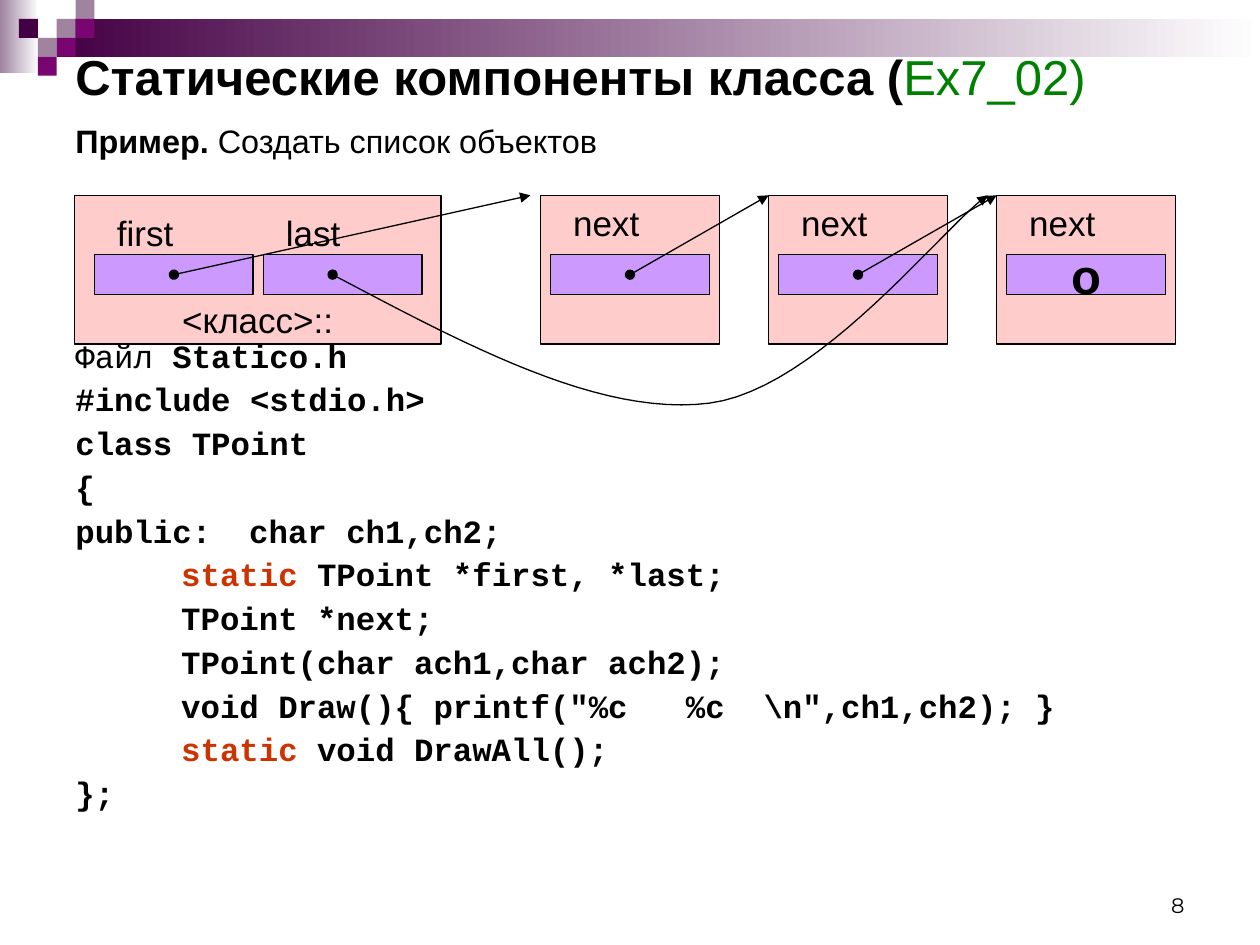
from lxml import etree
from pptx import Presentation
from pptx.dml.color import RGBColor
from pptx.enum.shapes import MSO_CONNECTOR, MSO_SHAPE
from pptx.enum.text import MSO_ANCHOR, PP_ALIGN
from pptx.oxml.ns import qn
from pptx.util import Inches, Pt

RECTANGLE = MSO_SHAPE.RECTANGLE
STRAIGHT = MSO_CONNECTOR.STRAIGHT
TOP, MIDDLE, BOTTOM = MSO_ANCHOR.TOP, MSO_ANCHOR.MIDDLE, MSO_ANCHOR.BOTTOM
LEFT, CENTER, RIGHT = PP_ALIGN.LEFT, PP_ALIGN.CENTER, PP_ALIGN.RIGHT

BLACK, WHITE, GREEN, RED = "000000", "FFFFFF", "008000", "CC3300"
DARK, PURPLE, MAUVE = "440044", "790571", "9F839F"
PINK, LILAC = "FFCCCC", "CC99FF"
CELL_WIDTH, CELL_HEIGHT, CELL_TOP = 1.26, 0.32, 0.47
BOX_TOP, BOX_HEIGHT, NODE_WIDTH = 1.55, 1.18, 1.42

# Each line: indent in inches, then (text, format) runs
CODE_LINES = [
    (0, [("Файл ", {"bold": False}), ("Statico.h", {})]),
    (0, [("#include <stdio.h>", {})]),
    (0, [("class TPoint", {})]),
    (0, [("{", {})]),
    (0, [("public:\tchar ch1,ch2;", {})]),
    (0.84, [("static ", {"color": RED}), ("TPoint *first, *last;", {})]),
    (0.84, [("TPoint *next;", {})]),
    (0.84, [("TPoint(char ach1,char ach2);", {})]),
    (0.84, [('void Draw(){ printf("%c   %c  \\n",ch1,ch2); }', {})]),
    (0.84, [("static", {"color": RED}), (" void DrawAll();", {})]),
    (0, [("};", {})]),
]


def rgb(color):
    return RGBColor.from_string(color)


def add_run(paragraph, text, size=20, font="Arial", color=BLACK, bold=False):
    run = paragraph.add_run()
    run.text = text
    run.font.size = Pt(size)
    run.font.name = font
    run.font.bold = bold
    run.font.color.rgb = rgb(color)


def set_frame(shape, anchor=TOP, wrap=True, margins=(0.1, 0.05)):
    frame = shape.text_frame
    frame.word_wrap = wrap
    frame.vertical_anchor = anchor
    frame.margin_left = frame.margin_right = Inches(margins[0])
    frame.margin_top = frame.margin_bottom = Inches(margins[1])
    return frame


def write(shape, text, align=LEFT, anchor=TOP, wrap=True, margins=(0.1, 0.05), **font):
    paragraph = set_frame(shape, anchor, wrap, margins).paragraphs[0]
    paragraph.alignment = align
    add_run(paragraph, text, **font)
    return paragraph


def add_text_box(slide, left, top, width, height):
    return slide.shapes.add_textbox(Inches(left), Inches(top), Inches(width), Inches(height))


def add_rectangle(slide, left, top, width, height, fill, outline=True):
    shape = slide.shapes.add_shape(
        RECTANGLE, Inches(left), Inches(top), Inches(width), Inches(height))
    shape.shadow.inherit = False
    shape.fill.solid()
    shape.fill.fore_color.rgb = rgb(fill)
    if outline:
        shape.line.color.rgb = rgb(BLACK)
        shape.line.width = Pt(0.75)
    else:
        shape.line.fill.background()
    return shape


def add_fading_bar(slide, left, top, width, height, color):
    bar = add_rectangle(slide, left, top, width, height, color, outline=False)
    bar.fill.gradient()
    bar.fill.gradient_angle = 0
    for stop, stop_color in zip(bar.fill.gradient_stops, (color, WHITE)):
        stop.color.rgb = rgb(stop_color)


def style_arrow(shape):
    """Thin black line from a dot to an arrowhead."""
    shape.line.color.rgb = rgb(BLACK)
    shape.line.width = Pt(0.75)
    line = shape.line._get_or_add_ln()
    etree.SubElement(line, qn("a:headEnd"), type="oval")
    etree.SubElement(line, qn("a:tailEnd"), type="triangle")


def add_arrow(slide, start, end):
    connector = slide.shapes.add_connector(STRAIGHT, *map(Inches, start + end))
    style_arrow(connector)
    etree.SubElement(connector._element.spPr, qn("a:effectLst"))


def bezier_points(start, control_1, control_2, end, steps=24):
    for step in range(1, steps + 1):
        t = step / steps
        yield tuple(
            Inches((1 - t) ** 3 * a + 3 * (1 - t) ** 2 * t * b + 3 * (1 - t) * t ** 2 * c + t ** 3 * d)
            for a, b, c, d in zip(start, control_1, control_2, end))


def add_curved_arrow(slide, start, *segments):
    builder = slide.shapes.build_freeform(Inches(start[0]), Inches(start[1]))
    for segment in segments:
        builder.add_line_segments(bezier_points(start, *segment), close=False)
        start = segment[-1]
    curve = builder.convert_to_shape()
    curve.shadow.inherit = False
    curve.fill.background()
    style_arrow(curve)


def add_decoration(slide):
    add_fading_bar(slide, 0, 0, 0.31, 0.58, MAUVE)
    add_fading_bar(slide, 0.45, 0.15, 9.55, 0.3, DARK)
    side = 0.15
    squares = [(3, 1, MAUVE), (4, 0, MAUVE), (4, 1, PURPLE), (2, 2, MAUVE),
               (1, 1, DARK), (3, 2, PURPLE), (2, 3, PURPLE)]
    for column, row, color in squares:
        add_rectangle(slide, column * side, row * side, side, side, color, outline=False)


def add_heading(slide, left, top, width):
    title = add_text_box(slide, left, top, width, 0.63)
    paragraph = write(title, "Статические компоненты класса (", anchor=MIDDLE,
                      size=28, bold=True)
    add_run(paragraph, "Ex7_02)", size=28, color=GREEN)
    example = add_text_box(slide, left, top + 0.62, width, 0.4)
    paragraph = write(example, "Пример. ", size=18.5, bold=True)
    add_run(paragraph, "Создать список объектов", size=18.5)


def add_code(slide, left, top, width, height):
    frame = set_frame(add_text_box(slide, left, top, width, height), margins=(0.1, 0))
    for number, (indent, runs) in enumerate(CODE_LINES):
        paragraph = frame.add_paragraph() if number else frame.paragraphs[0]
        paragraph.line_spacing = 0.9
        paragraph.space_before = Pt(5 if number else 0)
        properties = paragraph._p.get_or_add_pPr()
        properties.set("marL", str(Inches(indent)))
        tabs = etree.SubElement(properties, qn("a:tabLst"))
        etree.SubElement(tabs, qn("a:tab"), pos=str(Inches(1.38)), algn="l")
        for text, style in runs:
            add_run(paragraph, text, **{"size": 18.5, "font": "Courier New", "bold": True, **style})


def add_field(slide, left, top, name, name_top):
    """Add a captioned pointer cell; return the cell and its centre."""
    cell = add_rectangle(slide, left, top, CELL_WIDTH, CELL_HEIGHT, LILAC)
    write(add_text_box(slide, left + 0.08, name_top, 0.9, 0.44), name)
    return cell, (left + CELL_WIDTH / 2, top + CELL_HEIGHT / 2)


def add_node(slide, left, top):
    add_rectangle(slide, left, top, NODE_WIDTH, BOX_HEIGHT, PINK)
    return add_field(slide, left + 0.08, top + CELL_TOP, "next", top)


def add_class_box(slide, left, top):
    """Add the box of static fields; return the centre of its first cell."""
    box = add_rectangle(slide, left, top, 2.91, BOX_HEIGHT, PINK)
    write(box, "<класс>::", align=CENTER, anchor=BOTTOM, margins=(0.1, 0.03))
    add_field(slide, left + 1.5, top + CELL_TOP, "last", top + 0.08)
    return add_field(slide, left + 0.16, top + CELL_TOP, "first", top + 0.08)[1]


def add_list_diagram(slide, left, top):
    node_lefts = [left + 3.7 + 1.81 * number for number in range(3)]
    nodes = [add_node(slide, node_left, top) for node_left in node_lefts]
    write(nodes[-1][0], "o", align=CENTER, anchor=MIDDLE, wrap=False, size=28, bold=True)
    first = add_class_box(slide, left, top)
    add_arrow(slide, first, (node_lefts[0] - 0.08, top))
    for (_, center), next_left in zip(nodes, node_lefts[1:]):
        add_arrow(slide, center, (next_left, top))
    curve = [[(3.11, 1.19), (4.17, 1.76), (5.04, 1.65)],
             [(5.91, 1.54), (6.92, 0.22), (7.25, 0)]]
    add_curved_arrow(slide, (left + 2.05, top + 0.63),
                     *[[(left + x, top + y) for x, y in part] for part in curve])


def main():
    presentation = Presentation()
    presentation.slide_width, presentation.slide_height = Inches(10), Inches(7.5)
    slide = presentation.slides.add_slide(presentation.slide_layouts[6])
    add_decoration(slide)
    write(add_text_box(slide, 7.17, 6.83, 2.33, 0.5), "8", align=RIGHT,
          anchor=BOTTOM, size=12, font="Montserrat")
    add_heading(slide, 0.5, 0.29, 9)
    add_code(slide, 0.5, 2.7, 9, 3.9)
    add_list_diagram(slide, 0.59, BOX_TOP)
    presentation.save("out.pptx")


if __name__ == "__main__":
    main()
